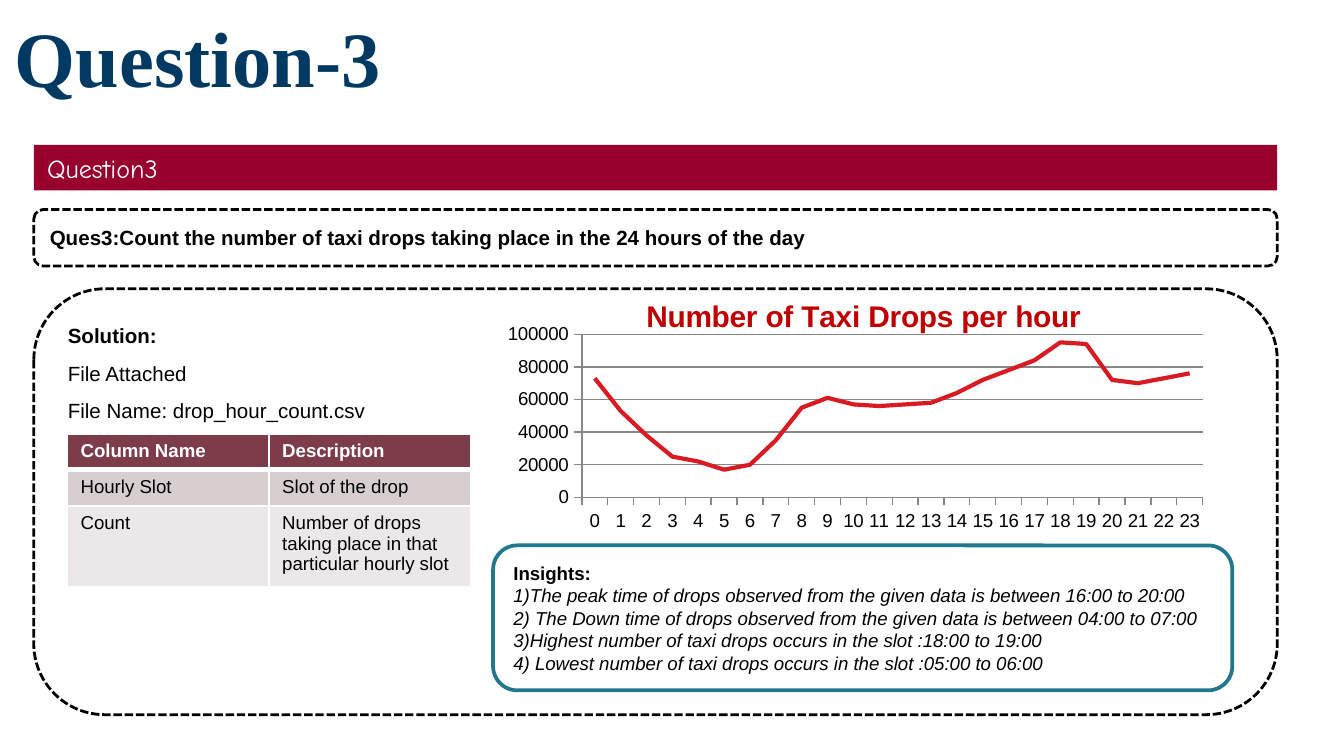
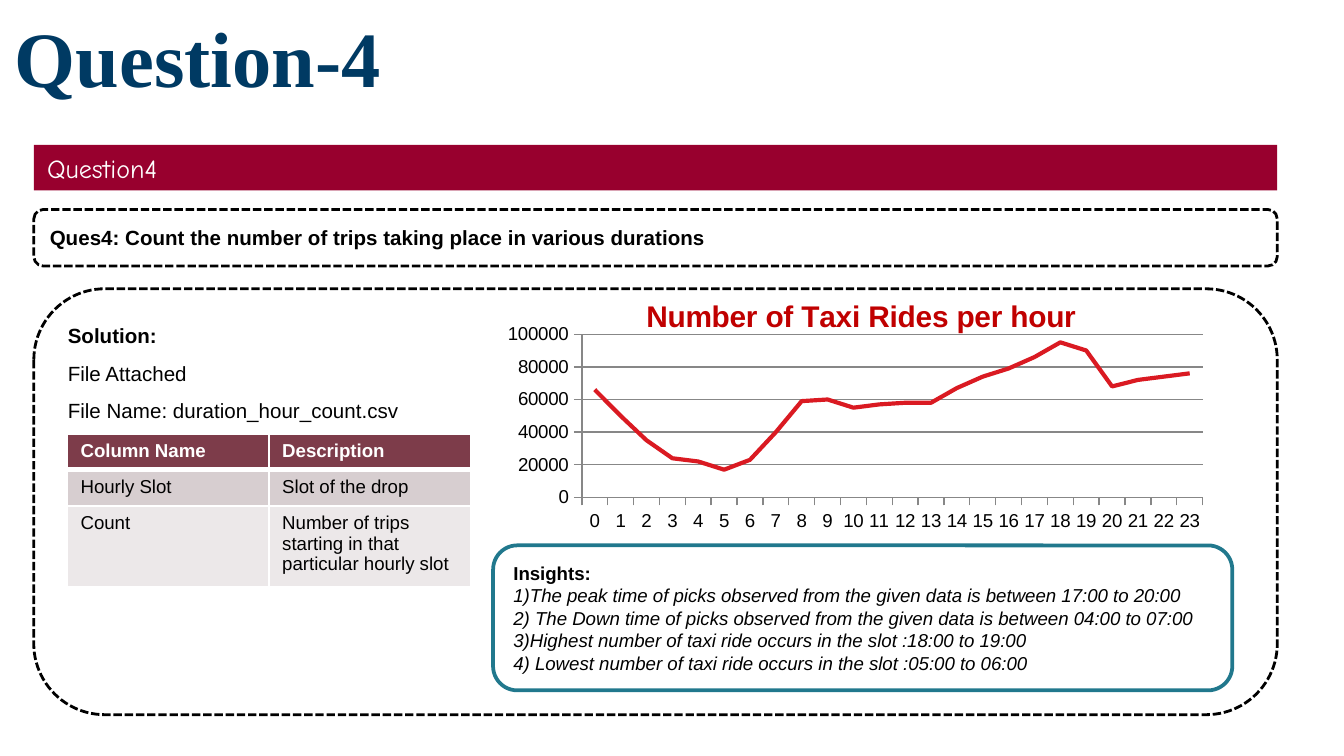
from lxml import etree
from pptx import Presentation
from pptx.chart.data import CategoryChartData
from pptx.dml.color import RGBColor
from pptx.enum.chart import XL_CHART_TYPE as ChartType, XL_TICK_MARK as Tick
from pptx.enum.dml import MSO_LINE_DASH_STYLE as Dash
from pptx.enum.shapes import MSO_SHAPE as Shape
from pptx.enum.text import MSO_ANCHOR as Anchor, PP_ALIGN as Align
from pptx.oxml import parse_xml
from pptx.oxml.ns import nsdecls, qn
from pptx.util import Cm, Pt

NAVY, CRIMSON, TEAL = "003A63", "98002E", "21788D"
BLACK, WHITE, GRAY = "000000", "FFFFFF", "878787"
TITLE_RED, SERIES_RED = "C00000", "DA1A22"
ROW_FILLS = ["7D3C4A", "D7CED0", "ECE8E9"]
ROW_HEIGHTS = [0.68, 0.67, 1.52]
LEFT, WIDTH = 0.64, 23.5
RIGHT_LEFT, RIGHT_WIDTH = 9.32, 13.97
EDGES = {"xMode": "edge", "yMode": "edge"}
CHART_LAYOUTS = [
    ("c:title", 1, {**EDGES, "x": 0.2, "y": 0.01}),
    ("c:plotArea", 0, {"layoutTarget": "inner", **EDGES,
                       "x": 0.12, "y": 0.15, "w": 0.84, "h": 0.54}),
]

QUESTIONS = [
    {
        "number": 3,
        "question": "Ques3:Count the number of taxi drops taking place in the 24 hours of the day",
        "file": "drop_hour_count.csv",
        "count": "Number of drops taking place in that particular hourly slot",
        "chart": "Number of Taxi Drops per hour",
        "thousands": [73, 53, 38, 25, 22, 17, 20, 35, 55, 61, 57, 56,
                      57, 58, 64, 72, 78, 84, 95, 94, 72, 70, 73, 76],
        "event": "drops", "ride": "drops", "peak": "16:00",
    },
    {
        "number": 4,
        "question": "Ques4: Count the number of trips taking place in various durations",
        "file": "duration_hour_count.csv",
        "count": "Number of trips starting in that particular hourly slot",
        "chart": "Number of Taxi Rides per hour",
        "thousands": [66, 50, 35, 24, 22, 17, 23, 40, 59, 60, 55, 57,
                      58, 58, 67, 74, 79, 86, 95, 90, 68, 72, 74, 76],
        "event": "picks", "ride": "ride", "peak": "17:00",
    },
]


def rgb(value):
    return RGBColor.from_string(value)


def add_block(slide, kind, box, lines, size, font="Arial", color=BLACK, fill=None,
              line=None, anchor=Anchor.MIDDLE, inset=0.25, before=0):
    place = [Cm(length) for length in box]
    if kind is None:
        block = slide.shapes.add_textbox(*place)
    else:
        block = slide.shapes.add_shape(kind, *place)
        block.shadow.inherit = False
        if fill:
            block.fill.solid()
            block.fill.fore_color.rgb = rgb(fill)
        else:
            block.fill.background()
        if line:
            line_color, line_width, dash = line
            block.line.color.rgb = rgb(line_color)
            block.line.width = Pt(line_width)
            block.line.dash_style = dash
        else:
            block.line.fill.background()
    frame = block.text_frame
    frame.word_wrap = True
    frame.vertical_anchor = anchor
    frame.margin_left = frame.margin_right = Cm(0.25)
    frame.margin_top = frame.margin_bottom = Cm(inset)
    for index, (text, bold, italic) in enumerate(lines):
        paragraph = frame.add_paragraph() if index else frame.paragraphs[0]
        paragraph.alignment = Align.LEFT
        paragraph.space_before = Pt(before)
        run = paragraph.add_run()
        run.text = text
        run.font.size, run.font.name = Pt(size), font
        run.font.bold, run.font.italic = bold, italic
        run.font.color.rgb = rgb(color)


prs = Presentation()
prs.slide_width, prs.slide_height = Cm(25.4), Cm(14.29)
dashed = (BLACK, 1.5, Dash.SQUARE_DOT)

for item in QUESTIONS:
    slide = prs.slides.add_slide(prs.slide_layouts[6])
    number, event, ride = item["number"], item["event"], item["ride"]

    add_block(slide, None, (0.03, 0.36, 22.68, 1.85), [(f"Question-{number}", True, False)],
              42, font="Times New Roman", color=NAVY, anchor=Anchor.BOTTOM)
    add_block(slide, Shape.RECTANGLE, (LEFT, 2.74, WIDTH, 0.86),
              [(f"Question{number}", False, False)], 14, font="Comic Neue",
              color=WHITE, fill=CRIMSON, inset=0.13)
    add_block(slide, Shape.ROUNDED_RECTANGLE, (LEFT, 3.96, WIDTH, 1.07),
              [(item["question"], True, False)], 11, line=dashed, before=7)
    add_block(slide, Shape.ROUNDED_RECTANGLE, (LEFT, 5.46, WIDTH, 8.05),
              [("Solution:", True, False), ("File Attached", False, False),
               (f"File Name: {item['file']}", False, False)],
              11, line=dashed, anchor=Anchor.TOP, before=7)

    rows = [("Column Name", "Description"), ("Hourly Slot", "Slot of the drop"),
            ("Count", item["count"])]
    columns = slide.shapes.add_table(3, 2, Cm(1.27), Cm(8.2), Cm(7.62),
                                     Cm(sum(ROW_HEIGHTS))).table
    for r, texts in enumerate(rows):
        columns.rows[r].height = Cm(ROW_HEIGHTS[r])
        for c, text in enumerate(texts):
            cell = columns.cell(r, c)
            cell.fill.solid()
            cell.fill.fore_color.rgb = rgb(ROW_FILLS[r])
            run = cell.text_frame.paragraphs[0].add_run()
            run.text = text
            run.font.size, run.font.name, run.font.bold = Pt(10), "Arial", r == 0
            run.font.color.rgb = rgb(BLACK if r else WHITE)
            properties = cell._tc.get_or_add_tcPr()
            for position, side in enumerate("LRTB"):
                heavy = (r, side) in ((0, "B"), (1, "T"))
                properties.insert(position, parse_xml(
                    f'<a:ln{side} {nsdecls("a")} w="{Pt(3 if heavy else 1)}"><a:solidFill>'
                    f'<a:srgbClr val="{WHITE}"/></a:solidFill></a:ln{side}>'))

    hours = CategoryChartData()
    hours.categories = [str(hour) for hour in range(24)]
    hours.add_series("Series 1", [value * 1000 for value in item["thousands"]])
    chart = slide.shapes.add_chart(ChartType.LINE, Cm(RIGHT_LEFT), Cm(5.46),
                                   Cm(RIGHT_WIDTH), Cm(5.72), hours).chart
    chart.font.name, chart.font.size = "Arial", Pt(18)
    chart.font.color.rgb = rgb(BLACK)
    chart.has_legend = False
    chart.has_title = True
    heading = chart.chart_title.text_frame.paragraphs[0].add_run()
    heading.text = item["chart"]
    heading.font.size, heading.font.bold, heading.font.name = Pt(16), True, "Arial"
    heading.font.color.rgb = rgb(TITLE_RED)
    chart.plots[0].vary_by_categories = False
    series = chart.plots[0].series[0]
    series.smooth = False
    series.format.line.color.rgb = rgb(SERIES_RED)
    series.format.line.width = Pt(2.25)
    for axis in (chart.category_axis, chart.value_axis):
        axis.tick_labels.font.size = Pt(10)
        axis.major_tick_mark = Tick.OUTSIDE
        axis.minor_tick_mark = Tick.NONE
        axis.format.line.color.rgb = rgb(GRAY)
    scale = chart.value_axis
    scale.minimum_scale, scale.maximum_scale, scale.major_unit = 0, 100000, 20000
    scale.has_major_gridlines = True
    scale.major_gridlines.format.line.color.rgb = rgb(GRAY)
    for tag, position, settings in CHART_LAYOUTS:
        area = chart._chartSpace.find(".//" + qn(tag))
        for automatic in area.findall(qn("c:layout")):
            area.remove(automatic)
        layout = etree.Element(qn("c:layout"))
        area.insert(position, layout)
        manual = etree.SubElement(layout, qn("c:manualLayout"))
        for key, value in settings.items():
            etree.SubElement(manual, qn(f"c:{key}")).set("val", str(value))

    insights = [
        f"1)The peak time of {event} observed from the given data is between {item['peak']} to 20:00",
        f"2) The Down time of {event} observed from the given data is between 04:00 to 07:00",
        f"3)Highest number of taxi {ride} occurs in the slot :18:00 to 19:00",
        f"4) Lowest number of taxi {ride} occurs in the slot :05:00 to 06:00",
    ]
    add_block(slide, Shape.ROUNDED_RECTANGLE, (RIGHT_LEFT, 10.31, RIGHT_WIDTH, 2.74),
              [("Insights:", True, False)] + [(text, False, True) for text in insights],
              10, fill=WHITE, line=(TEAL, 2, Dash.SOLID), inset=0.13)

prs.save("out.pptx")
